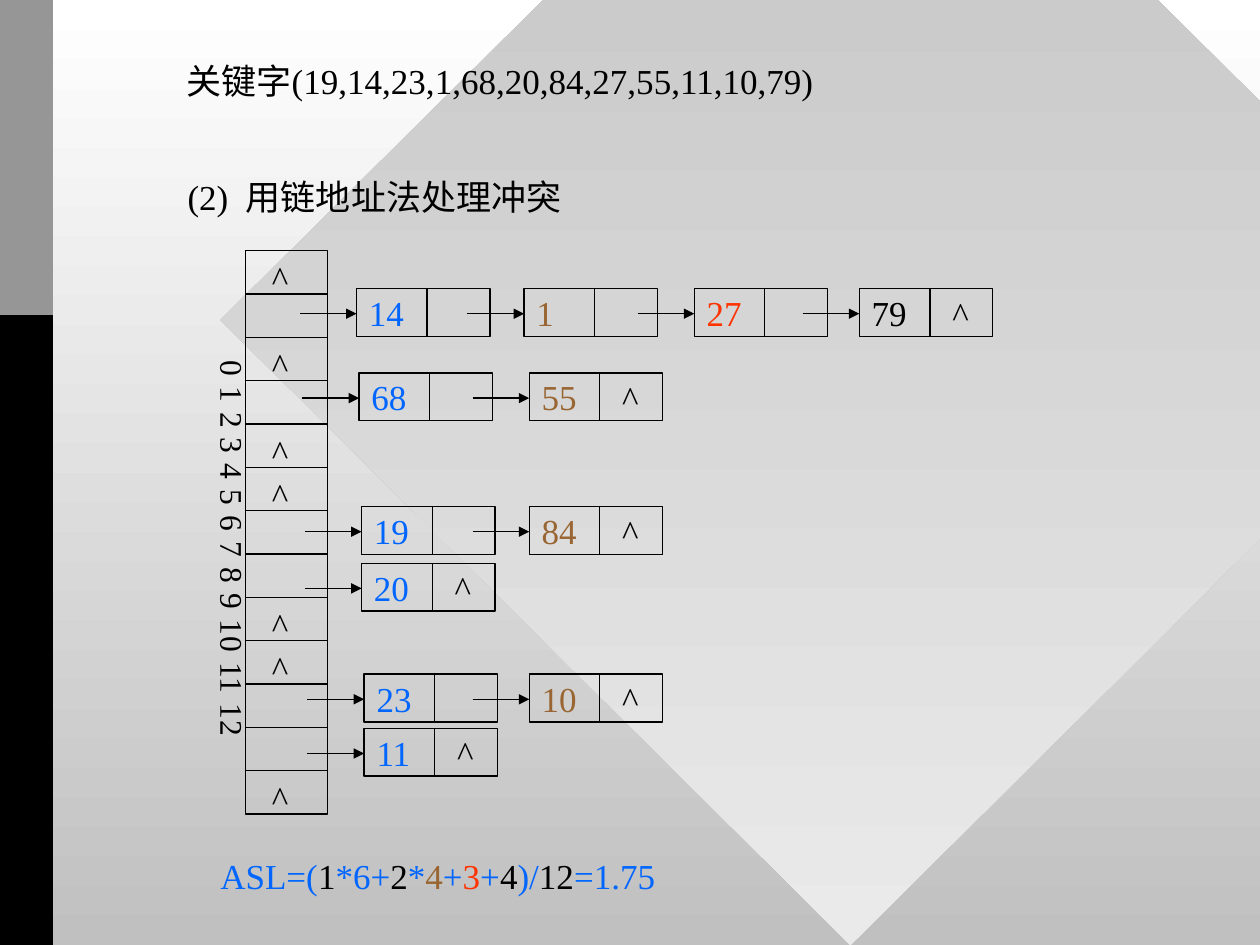
"""Build the slide on resolving hash collisions with chained lists."""
from lxml import etree
from pptx import Presentation
from pptx.dml.color import RGBColor
from pptx.enum import shapes, text
from pptx.oxml import ns
from pptx.util import Inches, Pt

BLACK = RGBColor(0x01, 0x00, 0x00)
BLUE = RGBColor(0x00, 0x66, 0xFF)
BROWN = RGBColor(0x99, 0x66, 0x33)
RED = RGBColor(0xFF, 0x33, 0x00)
WHITE = RGBColor(0xFF, 0xFF, 0xFF)
SILVER = RGBColor(0xC0, 0xC0, 0xC0)
PALE = RGBColor(0xEA, 0xEA, 0xEA)
GREY = RGBColor(0x96, 0x96, 0x96)
PURE_BLACK = RGBColor(0x00, 0x00, 0x00)

deck = Presentation()
deck.slide_width, deck.slide_height = Inches(10), Inches(7.5)
page = deck.slides.add_slide(deck.slide_layouts[5])


def write(box, *spans, size=20, anchor=text.MSO_ANCHOR.TOP, fit=text.MSO_AUTO_SIZE.SHAPE_TO_FIT_TEXT, tracking=0):
    frame = box.text_frame
    frame.word_wrap = False
    frame.auto_size = fit
    frame.vertical_anchor = anchor
    para = frame.paragraphs[0]
    para.alignment = text.PP_ALIGN.LEFT
    for words, color in spans:
        span = para.add_run()
        span.text = words
        span.font.name = "Times New Roman"
        span.font.size = Pt(size)
        span.font.color.rgb = color
        if tracking or words == " ":
            span.font._element.set("spc", str(tracking or 500))


def draw_line(x1, y1, x2, y2, arrow=False):
    line = page.shapes.add_connector(
        shapes.MSO_CONNECTOR.STRAIGHT, Inches(x1), Inches(y1), Inches(x2), Inches(y2))
    line.line.color.rgb = BLACK
    line.line.width = Pt(0.75)
    if arrow:
        etree.SubElement(line.line._get_or_add_ln(), ns.qn("a:tailEnd"), type="triangle")
    etree.SubElement(line._element.spPr, ns.qn("a:effectLst"))


backdrop = page.background.fill
diamond = page.shapes.add_shape(
    shapes.MSO_SHAPE.DIAMOND, Inches(1.75), Inches(-2.42), Inches(10), Inches(9.92))
diamond.shadow.inherit = False
diamond.line.fill.background()
for fill, colors in ((backdrop, (WHITE, SILVER)), (diamond.fill, (SILVER, PALE))):
    fill.gradient()
    fill.gradient_angle = 270
    for stop, color in zip(fill.gradient_stops, colors):
        stop.color.rgb = color

for height, color in ((7.5, PURE_BLACK), (2.5, GREY)):
    band = page.shapes.add_shape(shapes.MSO_SHAPE.RECTANGLE, 0, 0, Inches(0.42), Inches(height))
    band.shadow.inherit = False
    band.fill.solid()
    band.fill.fore_color.rgb = color
    band.line.fill.background()

title = page.shapes.title
title.left, title.top, title.width, title.height = Inches(1.38), Inches(0.42), Inches(5.25), Inches(0.44)
write(title, ("关键字(19,14,23,1,68,20,84,27,55,11,10,79)", BLACK))
page.shapes._spTree.append(title._element)

subtitle = page.shapes.add_textbox(Inches(1.39), Inches(1.34), Inches(3.23), Inches(0.44))
write(subtitle, ("(2)", BLACK), (" ", BLACK), ("用链地址法处理冲突", BLACK))

TABLE_LEFT, TABLE_TOP, TABLE_WIDTH, TABLE_HEIGHT = 1.95, 1.99, 0.65, 4.47
SLOTS = 13
SLOT_HEIGHT = TABLE_HEIGHT / SLOTS
NODE_WIDTH, NODE_HEIGHT = 1.06, 0.38
chains = {
    1: (2.29, ((2.83, "14"), (4.16, "1"), (5.51, "27"), (6.82, "79"))),
    3: (2.96, ((2.85, "68"), (4.2, "55"))),
    6: (4.02, ((2.87, "19"), (4.2, "84"))),
    7: (4.47, ((2.87, "20"),)),
    10: (5.35, ((2.89, "23"), (4.2, "10"))),
    11: (5.78, ((2.89, "11"),)),
}
frames = [(TABLE_LEFT, TABLE_TOP, TABLE_WIDTH, TABLE_HEIGHT, "", BLACK)]
carets = [(2.06, TABLE_TOP + slot * SLOT_HEIGHT) for slot in range(SLOTS) if slot not in chains]
for top, nodes in chains.values():
    for (left, key), color in zip(nodes, (BLUE, BROWN, RED, BLACK)):
        frames.append((left, top, NODE_WIDTH, NODE_HEIGHT, key, color))
    carets.append((left + 0.64, top - 0.02))

for left, top, width, height, key, color in frames:
    node = page.shapes.add_shape(
        shapes.MSO_SHAPE.RECTANGLE, Inches(left), Inches(top), Inches(width), Inches(height))
    node.shadow.inherit = False
    node.fill.background()
    node.line.color.rgb = BLACK
    node.line.width = Pt(0.75)
    if key:
        write(node, (key, color), anchor=text.MSO_ANCHOR.MIDDLE, fit=text.MSO_AUTO_SIZE.NONE)
        draw_line(left + 0.56, top, left + 0.56, top + height)
        draw_line(left - 0.45, top + 0.2, left, top + 0.2, arrow=True)

for slot in range(1, SLOTS):
    y = TABLE_TOP + slot * SLOT_HEIGHT
    draw_line(TABLE_LEFT, y, TABLE_LEFT + TABLE_WIDTH, y)

for left, top in carets:
    caret = page.shapes.add_textbox(Inches(left), Inches(top), Inches(0.33), Inches(0.44))
    write(caret, ("^", BLACK))

indices = page.shapes.add_textbox(Inches(1.55), Inches(2.76), Inches(0.5), Inches(3.17))
write(indices, (" ".join(str(slot) for slot in range(SLOTS)), BLACK), size=18, tracking=65)
margins = indices.text_frame
margins.margin_left = margins.margin_right = Inches(0.05)
margins.margin_top = margins.margin_bottom = Inches(0.1)
margins._txBody.bodyPr.set("vert", "eaVert")

formula = page.shapes.add_textbox(Inches(1.65), Inches(6.73), Inches(3.65), Inches(0.44))
write(formula, ("ASL=(", BLUE), ("1", BLACK), ("*6+", BLUE), ("2", BLACK), ("*", BLUE),
      ("4", BROWN), ("+", BLUE), ("3", RED), ("+", BLUE), ("4", BLACK), (")/", BLUE),
      ("12", BLACK), ("=1.75", BLUE))

deck.save("out.pptx")
